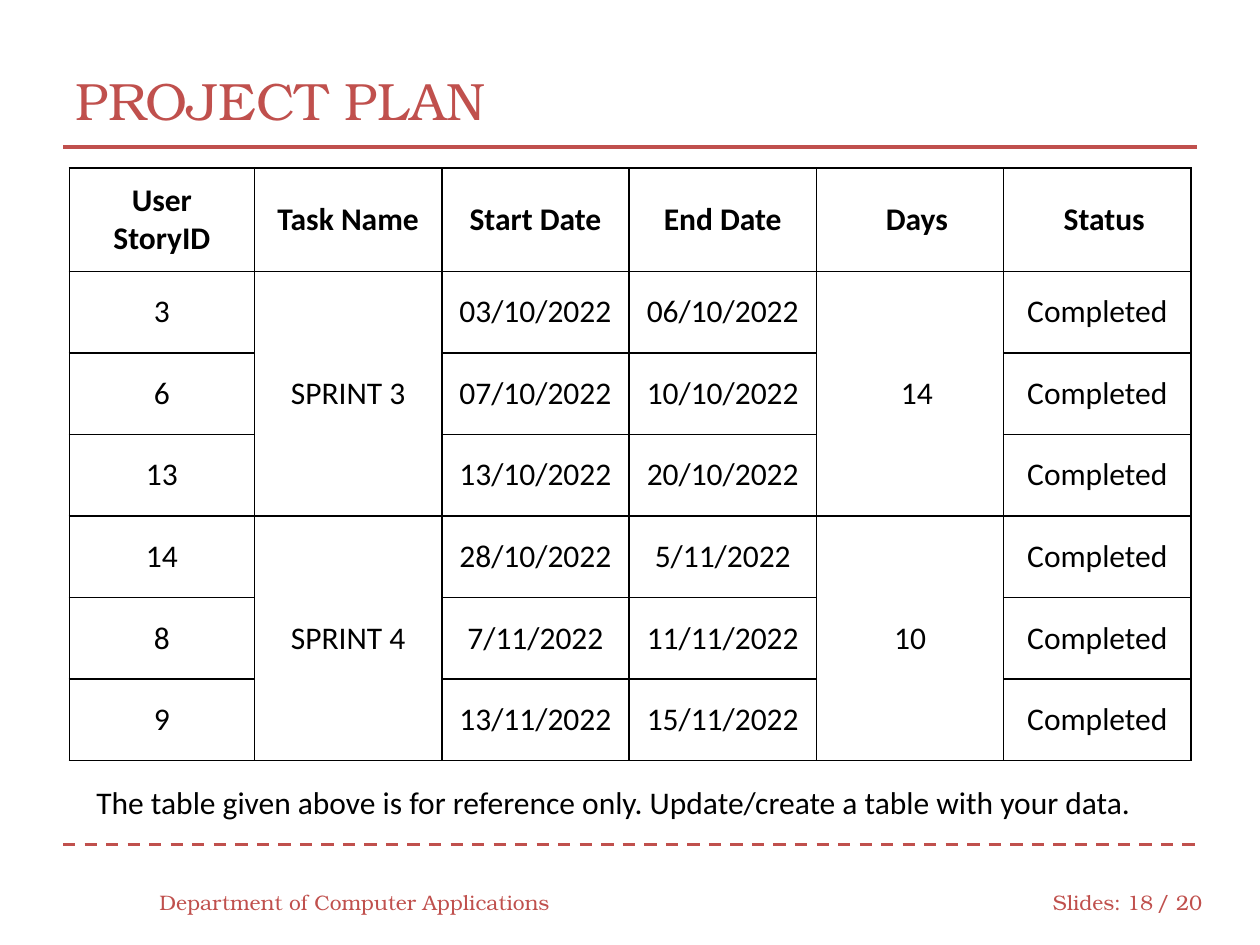
from lxml.etree import SubElement
from pptx import Presentation
from pptx.dml.color import RGBColor
from pptx.enum.dml import MSO_LINE_DASH_STYLE as Dash
from pptx.enum.shapes import MSO_CONNECTOR as Connector
from pptx.enum.text import MSO_ANCHOR as Anchor, MSO_AUTO_SIZE as AutoSize, PP_ALIGN as Align
from pptx.oxml.ns import qn
from pptx.util import Inches, Pt

ACCENT = RGBColor(0xC0, 0x50, 0x4D)
BLACK = RGBColor(0, 0, 0)
WHITE = RGBColor(0xFF, 0xFF, 0xFF)
HEADING_FONT, BODY_FONT = "TeX Gyre Bonum", "Calibri"

SLIDE_WIDTH, SLIDE_HEIGHT = Inches(10), Inches(7.5)
GRID_COLUMNS = 120
UNIT = SLIDE_WIDTH / GRID_COLUMNS
MARGIN, CONTENT_WIDTH = 6, 108
FOOTER_TOP, FOOTER_HEIGHT = 83.5, 4.8

HEADERS = ["User\nStoryID", "Task Name", "Start Date", "End Date", "Days", "Status"]
SPRINTS = [
    ("SPRINT 3", "14", [
        ("3", "03/10/2022", "06/10/2022"),
        ("6", "07/10/2022", "10/10/2022"),
        ("13", "13/10/2022", "20/10/2022"),
    ]),
    ("SPRINT 4", "10", [
        ("14", "28/10/2022", "5/11/2022"),
        ("8", "7/11/2022", "11/11/2022"),
        ("9", "13/11/2022", "15/11/2022"),
    ]),
]
STATUS = "Completed"
TASK_COLUMN, DAYS_COLUMN = 1, 4
COLUMN_WIDTHS = [17.64] + [17.84] * 5
HEADER_HEIGHT, ROW_HEIGHT = 9.84, 7.77
CELL_INSET, SHIFTED_INSET = 1.2, 2.5
SHIFTED_LABELS = {(0, 4), (0, 5), (1, 4)}


def grid(*units):
    return [round(unit * UNIT) for unit in units]


def add_run(paragraph, words, size, font_name, color, bold=False):
    run = paragraph.add_run()
    run.text = words
    run.font.size = Pt(size)
    run.font.name = font_name
    run.font.color.rgb = color
    run.font.bold = bold


def add_title(slide, words):
    title = slide.shapes.title
    title.left, title.top, title.width, title.height = grid(MARGIN, 4, CONTENT_WIDTH, 11)
    frame = title.text_frame
    frame.auto_size = AutoSize.NONE
    frame.vertical_anchor = Anchor.MIDDLE
    frame.paragraphs[0].alignment = Align.LEFT
    add_run(frame.paragraphs[0], words, 30, HEADING_FONT, ACCENT)


def add_label(slide, words, left, top, width, size=12, font_name=HEADING_FONT,
              color=ACCENT, align=Align.LEFT, anchor=Anchor.MIDDLE):
    label = slide.shapes.add_textbox(*grid(left, top, width, FOOTER_HEIGHT))
    frame = label.text_frame
    frame.word_wrap = True
    frame.vertical_anchor = anchor
    frame.paragraphs[0].alignment = align
    add_run(frame.paragraphs[0], words, size, font_name, color)


def add_rule(slide, top, dash=None):
    rule = slide.shapes.add_connector(
        Connector.STRAIGHT, *grid(MARGIN, top, MARGIN + CONTENT_WIDTH, top))
    rule.line.color.rgb = ACCENT
    rule.line.width = Pt(1.75)
    if dash is not None:
        rule.line.dash_style = dash
    SubElement(rule._element.spPr, qn("a:effectLst"))


def add_borders(cell):
    properties = cell._tc.get_or_add_tcPr()
    for side in ("a:lnL", "a:lnR", "a:lnT", "a:lnB"):
        border = SubElement(properties, qn(side), w=str(Pt(1)))
        fill = SubElement(border, qn("a:solidFill"))
        SubElement(fill, qn("a:srgbClr"), val=str(BLACK))


def style_cell(cell, left_inset):
    add_borders(cell)
    cell.fill.solid()
    cell.fill.fore_color.rgb = WHITE
    cell.vertical_anchor = Anchor.MIDDLE
    cell.margin_left, cell.margin_right, cell.margin_top, cell.margin_bottom = grid(
        left_inset, CELL_INSET, CELL_INSET, CELL_INSET)


def write_cell(cell, words, bold):
    frame = cell.text_frame
    for index, line in enumerate(words.split("\n")):
        paragraph = frame.add_paragraph() if index else frame.paragraphs[0]
        paragraph.alignment = Align.CENTER
        add_run(paragraph, line, 18, BODY_FONT, BLACK, bold)


def plan_rows():
    rows = [HEADERS]
    for sprint, days, stories in SPRINTS:
        for index, (story, start, end) in enumerate(stories):
            first = index == 0
            rows.append([story, sprint if first else "", start, end,
                         days if first else "", STATUS])
    return rows


def merge_sprints(table):
    top = 1
    for _, _, stories in SPRINTS:
        bottom = top + len(stories) - 1
        for column in (TASK_COLUMN, DAYS_COLUMN):
            table.cell(top, column).merge(table.cell(bottom, column))
        top = bottom + 1


def add_plan_table(slide):
    rows = plan_rows()
    heights = [HEADER_HEIGHT] + [ROW_HEIGHT] * (len(rows) - 1)
    table = slide.shapes.add_table(
        len(rows), len(HEADERS),
        *grid(6.6, 16, sum(COLUMN_WIDTHS), sum(heights))).table
    table.first_row = table.horz_banding = False
    for column, width in zip(table.columns, grid(*COLUMN_WIDTHS)):
        column.width = width
    for row, height in zip(table.rows, grid(*heights)):
        row.height = height
    for row_index, row in enumerate(rows):
        for column_index, words in enumerate(row):
            cell = table.cell(row_index, column_index)
            shifted = (row_index, column_index) in SHIFTED_LABELS
            style_cell(cell, SHIFTED_INSET if shifted else CELL_INSET)
            if words:
                write_cell(cell, words, bold=row_index == 0)
    merge_sprints(table)


def main():
    deck = Presentation()
    deck.slide_width, deck.slide_height = SLIDE_WIDTH, SLIDE_HEIGHT
    slide = deck.slides.add_slide(deck.slide_layouts[5])
    add_label(slide, "Slides:", 99.1, FOOTER_TOP, 9.2)
    add_label(slide, "/ 20", 109, FOOTER_TOP, 7)
    add_rule(slide, 80.4, Dash.DASH)
    add_rule(slide, 14)
    add_title(slide, "PROJECT PLAN")
    add_label(slide, "Department of Computer Applications", 14, FOOTER_TOP, 40)
    add_label(slide, "18", 106, FOOTER_TOP, 5, align=Align.RIGHT)
    add_plan_table(slide)
    add_label(slide, "The table given above is for reference only. "
              "Update/create a table with your data.", 8, 74, 103,
              size=18, font_name=BODY_FONT, color=BLACK, anchor=Anchor.TOP)
    deck.save("out.pptx")


if __name__ == "__main__":
    main()
